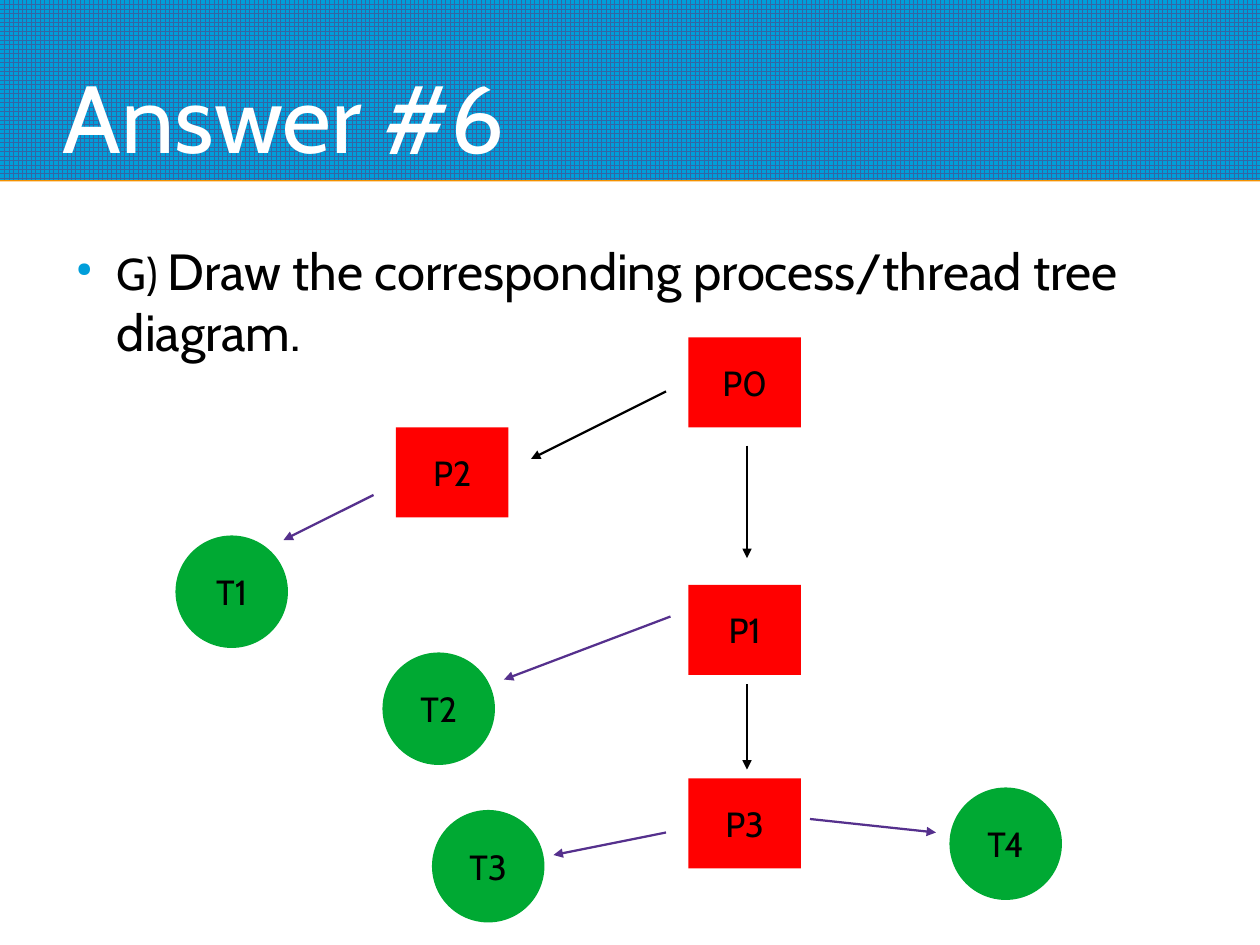
"""Build a slide with a process and thread tree."""
from typing import NamedTuple

from lxml import etree
from pptx import Presentation
from pptx.dml.color import RGBColor
from pptx.enum.dml import MSO_PATTERN
from pptx.enum.shapes import MSO_CONNECTOR, MSO_SHAPE
from pptx.enum.text import MSO_ANCHOR, PP_ALIGN
from pptx.oxml.ns import qn
from pptx.util import Cm, Pt

RECT = MSO_SHAPE.RECTANGLE
OVAL = MSO_SHAPE.OVAL
LINE = MSO_CONNECTOR.STRAIGHT
GRID = MSO_PATTERN.LARGE_GRID
TOP = MSO_ANCHOR.TOP
MIDDLE = MSO_ANCHOR.MIDDLE
BOTTOM = MSO_ANCHOR.BOTTOM
CENTER = PP_ALIGN.CENTER

WHITE = RGBColor(0xFF, 0xFF, 0xFF)
BLACK = RGBColor(0x00, 0x00, 0x00)
BLUE = RGBColor(0x00, 0x9E, 0xDA)
STEEL = RGBColor(0x34, 0x65, 0xA4)
ORANGE = RGBColor(0xF4, 0x91, 0x00)
RED = RGBColor(0xFF, 0x00, 0x00)
GREEN = RGBColor(0x00, 0xA9, 0x33)
VIOLET = RGBColor(0x55, 0x30, 0x8D)

FONT = "Cabin"
WIDE, HIGH = 28, 21
SIDE = 2.5


class Kind(NamedTuple):
    form: MSO_SHAPE
    high: float
    fill: RGBColor


class Node(NamedTuple):
    name: str
    kind: Kind
    left: float
    top: float


class Arrow(NamedTuple):
    x1: float
    y1: float
    x2: float
    y2: float
    color: RGBColor


PROCESS = Kind(RECT, 2, RED)
THREAD = Kind(OVAL, SIDE, GREEN)

NODES = [
    Node("P0", PROCESS, 15.3, 7.5),
    Node("P1", PROCESS, 15.3, 13),
    Node("P2", PROCESS, 8.8, 9.5),
    Node("P3", PROCESS, 15.3, 17.3),
    Node("T1", THREAD, 3.9, 11.9),
    Node("T2", THREAD, 8.5, 14.5),
    Node("T3", THREAD, 9.6, 18),
    Node("T4", THREAD, 21.1, 17.5),
]

ARROWS = [
    Arrow(14.8, 8.7, 11.8, 10.2, BLACK),
    Arrow(16.6, 9.9, 16.6, 12.4, BLACK),
    Arrow(16.6, 15.2, 16.6, 17.1, BLACK),
    Arrow(8.3, 11, 6.3, 12, VIOLET),
    Arrow(14.9, 13.7, 11.2, 15.1, VIOLET),
    Arrow(14.8, 18.5, 12.3, 19, VIOLET),
    Arrow(18, 18.2, 20.8, 18.5, VIOLET),
]


def style(run, size: float, color: RGBColor) -> None:
    """Set the font of a run."""
    run.font.name = FONT
    run.font.size = Pt(size)
    run.font.color.rgb = color


def add_band(slide) -> None:
    """Draw the header band with its orange edge."""
    band = slide.shapes.add_shape(RECT, 0, 0, Cm(WIDE), Cm(4))
    band.fill.patterned()
    band.fill.pattern = GRID
    band.fill.fore_color.rgb = STEEL
    band.fill.back_color.rgb = BLUE
    band.line.fill.background()
    band.shadow.inherit = False
    effects = band.element.spPr.find(qn("a:effectLst"))
    edge = etree.SubElement(effects, qn("a:outerShdw"), blurRad="0",
                            dist=str(Pt(0.9)), dir="5400000", rotWithShape="0")
    etree.SubElement(edge, qn("a:srgbClr"), val=str(ORANGE))


def add_box(slide, left: float, top: float, width: float, height: float,
            anchor: MSO_ANCHOR):
    """Add a wrapping text box without margins and return its frame."""
    box = slide.shapes.add_textbox(Cm(left), Cm(top), Cm(width), Cm(height))
    frame = box.text_frame
    frame.word_wrap = True
    frame.vertical_anchor = anchor
    frame.margin_left = frame.margin_right = 0
    frame.margin_top = frame.margin_bottom = 0
    return frame


def add_title(slide) -> None:
    """Write the title on the band."""
    frame = add_box(slide, 1.4, 0.33, 25.2, 3.5, BOTTOM)
    frame.text = "Answer #6"
    style(frame.paragraphs[0].runs[0], 60, WHITE)


def add_task(slide) -> None:
    """Write the bulleted task."""
    para = add_box(slide, 1.4, 5.33, 25.07, 3.17, TOP).paragraphs[0]
    para.text = "G) "
    para.add_run().text = "Draw the corresponding process/thread tree diagram."
    for run, size in zip(para.runs, (28, 32)):
        style(run, size, BLACK)
    props = para._p.get_or_add_pPr()
    props.set("marL", str(Cm(1.2)))
    props.set("indent", str(Cm(-0.9)))
    tint = etree.SubElement(props, qn("a:buClr"))
    etree.SubElement(tint, qn("a:srgbClr"), val=str(BLUE))
    etree.SubElement(props, qn("a:buSzPct"), val="45000")
    etree.SubElement(props, qn("a:buChar"), char="●")


def add_node(slide, node: Node) -> None:
    """Draw a process or a thread with its name."""
    kind = node.kind
    shape = slide.shapes.add_shape(kind.form, Cm(node.left), Cm(node.top),
                                   Cm(SIDE), Cm(kind.high))
    shape.shadow.inherit = False
    shape.fill.solid()
    shape.fill.fore_color.rgb = kind.fill
    shape.line.fill.background()
    frame = shape.text_frame
    frame.vertical_anchor = MIDDLE
    frame.text = node.name
    para = frame.paragraphs[0]
    para.alignment = CENTER
    style(para.runs[0], 22, BLACK)


def add_arrow(slide, arrow: Arrow) -> None:
    """Draw an arrow from parent to child."""
    link = slide.shapes.add_connector(LINE, Cm(arrow.x1), Cm(arrow.y1),
                                      Cm(arrow.x2), Cm(arrow.y2))
    link.line.color.rgb = arrow.color
    link.line.width = Pt(1.42)
    etree.SubElement(link.line._get_or_add_ln(), qn("a:tailEnd"),
                     type="triangle")
    etree.SubElement(link._element.spPr, qn("a:effectLst"))


def main() -> None:
    """Build and save the slide."""
    deck = Presentation()
    deck.slide_width = Cm(WIDE)
    deck.slide_height = Cm(HIGH)
    slide = deck.slides.add_slide(deck.slide_layouts[6])
    add_band(slide)
    add_title(slide)
    add_task(slide)
    for node in NODES:
        add_node(slide, node)
    for arrow in ARROWS:
        add_arrow(slide, arrow)
    deck.save("out.pptx")


if __name__ == "__main__":
    main()
